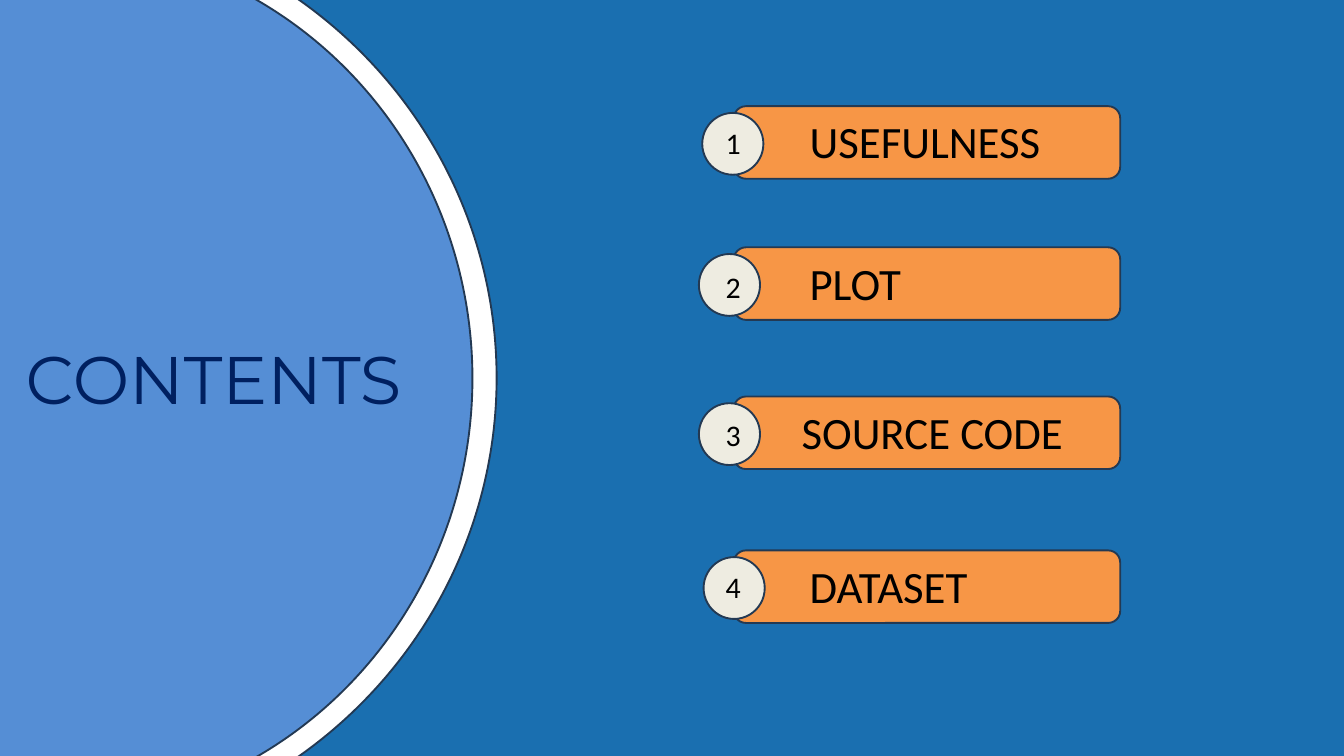
from dataclasses import dataclass

import pptx
import pptx.dml.color
import pptx.enum.shapes
import pptx.enum.text
import pptx.util

COLUMNS, ROWS = 20, 11.25
SHAPES = pptx.enum.shapes.MSO_SHAPE


@dataclass(frozen=True)
class Theme:
    """Colours, fonts and type sizes of the slide."""
    background: str = "1A6FB0"
    ring: str = "FFFFFF"
    disc: str = "558ED5"
    bar: str = "F79646"
    badge: str = "EEECE1"
    outline: str = "233953"
    title: str = "002060"
    text: str = "000000"
    title_font: str = "Montserrat"
    body_font: str = "Calibri"
    title_size: int = 72
    label_size: int = 48
    number_size: int = 32
    outline_width: int = 2


@dataclass(frozen=True)
class Entry:
    """One line of the contents, placed in grid columns and rows."""
    label: str
    top: float
    badge_left: float
    number_drop: float
    label_left: float
    label_width: float


THEME = Theme()
ENTRIES = [
    Entry("USEFULNESS", 1.58, 10.45, 0.22, 11.95, 3.67),
    Entry("PLOT", 3.68, 10.4, 0.27, 11.95, 2.3),
    Entry("SOURCE CODE", 5.9, 10.4, 0.25, 11.83, 4.13),
    Entry("DATASET", 8.19, 10.47, 0.22, 11.95, 2.57),
]


def cells(*counts):
    """Turn grid counts into lengths, one inch to a cell."""
    return [pptx.util.Inches(count) for count in counts]


def rgb(value):
    """Return the colour for a hexadecimal value."""
    return pptx.dml.color.RGBColor.from_string(value)


def add_outlined(page, kind, area, fill):
    """Add a filled preset shape with the common outline."""
    shape = page.shapes.add_shape(kind, *cells(*area))
    shape.shadow.inherit = False
    shape.fill.solid()
    shape.fill.fore_color.rgb = rgb(fill)
    shape.line.color.rgb = rgb(THEME.outline)
    shape.line.width = pptx.util.Pt(THEME.outline_width)


def write(box, text, size, font, color, wrap=False):
    """Write one left-aligned line into a box."""
    frame = box.text_frame
    frame.text = text
    frame.word_wrap = wrap
    frame.auto_size = pptx.enum.text.MSO_AUTO_SIZE.SHAPE_TO_FIT_TEXT
    frame.vertical_anchor = pptx.enum.text.MSO_ANCHOR.TOP
    para = frame.paragraphs[0]
    para.alignment = pptx.enum.text.PP_ALIGN.LEFT
    para.font.size = pptx.util.Pt(size)
    para.font.name = font
    para.font.color.rgb = rgb(color)


def add_text(page, area, text, size):
    """Add a body text box."""
    box = page.shapes.add_textbox(*cells(*area))
    write(box, text, size, THEME.body_font, THEME.text)


def add_entry(page, number, entry):
    """Add a bar with its numbered badge and label."""
    add_outlined(page, SHAPES.ROUNDED_RECTANGLE,
                 (10.92, entry.top, 5.75, 1.08), THEME.bar)
    add_outlined(page, SHAPES.OVAL,
                 (entry.badge_left, entry.top + 0.1, 0.91, 0.92), THEME.badge)
    add_text(page, (10.7, entry.top + entry.number_drop, 0.43, 0.64),
             str(number), THEME.number_size)
    add_text(page, (entry.label_left, entry.top + 0.07, entry.label_width, 0.91),
             entry.label, THEME.label_size)


def place_title(page, area, text):
    """Move the title placeholder to its area, in front of the discs."""
    title = page.shapes.title
    title.left, title.top, title.width, title.height = cells(*area)
    write(title, text, THEME.title_size, THEME.title_font, THEME.title, wrap=True)
    title.element.getparent().append(title.element)


def main():
    """Build the contents slide and save it."""
    deck = pptx.Presentation()
    deck.slide_width, deck.slide_height = cells(COLUMNS, ROWS)
    page = deck.slides.add_slide(deck.slide_layouts.get_by_name("Title Only"))
    page.background.fill.solid()
    page.background.fill.fore_color.rgb = rgb(THEME.background)
    add_outlined(page, SHAPES.OVAL, (-6.76, -1.31, 14.15, 13.87), THEME.ring)
    add_outlined(page, SHAPES.OVAL, (-5.56, -0.83, 12.59, 12.92), THEME.disc)
    for number, entry in enumerate(ENTRIES, start=1):
        add_entry(page, number, entry)
    place_title(page, (0.28, 4.97, 6.42, 1.31), "CONTENTS")
    deck.save("out.pptx")


if __name__ == "__main__":
    main()
